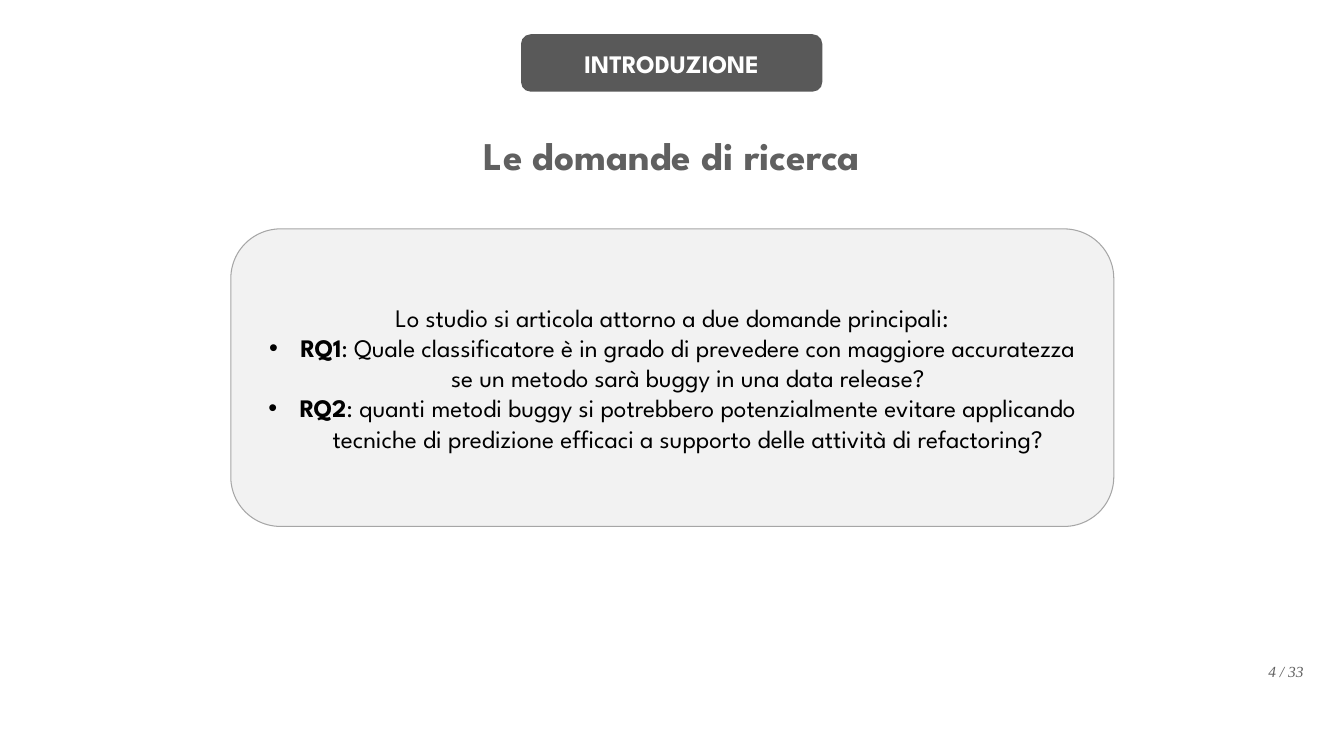
from lxml.etree import SubElement
from pptx import Presentation
from pptx.dml.color import RGBColor
from pptx.enum.shapes import MSO_SHAPE
from pptx.enum.text import MSO_ANCHOR, MSO_AUTO_SIZE, PP_ALIGN
from pptx.oxml.ns import qn
from pptx.util import Pt

COLOURS = {
    "panel": "F2F2F2",
    "border": "A6A6A6",
    "badge": "595959",
    "heading": "606060",
    "body": "000000",
    "white": "FFFFFF",
}
FONT = "League Spartan"
BULLET_INDENT = 22.5
INTRO = "Lo studio si articola attorno a due domande principali:"
QUESTIONS = {
    "RQ1": "Quale classificatore è in grado di prevedere con maggiore accuratezza "
           "se un metodo sarà buggy in una data release?",
    "RQ2": "quanti metodi buggy si potrebbero potenzialmente evitare applicando "
           "tecniche di predizione efficaci a supporto delle attività di refactoring?",
}


def colour(name):
    return RGBColor.from_string(COLOURS[name])


def write(paragraph, text, size=18, ink="body", font=FONT, bold=False,
          italic=False, align=PP_ALIGN.CENTER):
    paragraph.alignment = align
    run = paragraph.add_run()
    run.text = text
    run.font.name = font
    run.font.size = Pt(size)
    run.font.bold = bold
    run.font.italic = italic
    run.font.color.rgb = colour(ink)


def add_bullet(paragraph):
    properties = paragraph._p.get_or_add_pPr()
    properties.set("marL", str(Pt(BULLET_INDENT)))
    properties.set("indent", str(-Pt(BULLET_INDENT)))
    SubElement(properties, qn("a:buFont"), typeface="Arial")
    SubElement(properties, qn("a:buChar"), char="•")


def add_rounded_box(slide, box, fill, border=None):
    rounded = slide.shapes.add_shape(MSO_SHAPE.ROUNDED_RECTANGLE, *map(Pt, box))
    rounded.shadow.inherit = False
    rounded.fill.solid()
    rounded.fill.fore_color.rgb = colour(fill)
    if border:
        rounded.line.color.rgb = colour(border)
        rounded.line.width = Pt(0.75)
    else:
        rounded.line.fill.background()
    frame = rounded.text_frame
    frame.word_wrap = True
    frame.vertical_anchor = MSO_ANCHOR.MIDDLE
    return frame


def add_questions(slide, box):
    frame = add_rounded_box(slide, box, "panel", "border")
    write(frame.paragraphs[0], INTRO)
    for label, question in QUESTIONS.items():
        paragraph = frame.add_paragraph()
        add_bullet(paragraph)
        write(paragraph, label, bold=True)
        write(paragraph, f": {question}")


def add_section_badge(slide, box):
    frame = add_rounded_box(slide, box, "badge")
    write(frame.paragraphs[0], "INTRODUZIONE", ink="white", bold=True)


def add_heading(slide, box):
    heading = slide.shapes.title
    heading.left, heading.top, heading.width, heading.height = map(Pt, box)
    frame = heading.text_frame
    frame.word_wrap = True
    frame.auto_size = MSO_AUTO_SIZE.NONE
    frame.vertical_anchor = MSO_ANCHOR.TOP
    write(frame.paragraphs[0], "Le domande di ricerca", size=28,
          ink="heading", bold=True)


def add_page_number(slide, box):
    frame = slide.shapes.add_textbox(*map(Pt, box)).text_frame
    frame.word_wrap = True
    write(frame.paragraphs[0], "4 / 33", size=11, ink="heading",
          font="Times New Roman", italic=True, align=PP_ALIGN.RIGHT)


def main():
    deck = Presentation()
    deck.slide_width, deck.slide_height = Pt(960), Pt(540)
    slide = deck.slides.add_slide(deck.slide_layouts[5])
    add_questions(slide, (164.9, 163.5, 630.7, 212.5))
    add_heading(slide, (258.5, 90, 442.8, 41))
    add_section_badge(slide, (372.2, 24.5, 215.2, 41))
    add_page_number(slide, (872, 469.5, 66.2, 21))
    deck.save("out.pptx")


if __name__ == "__main__":
    main()
